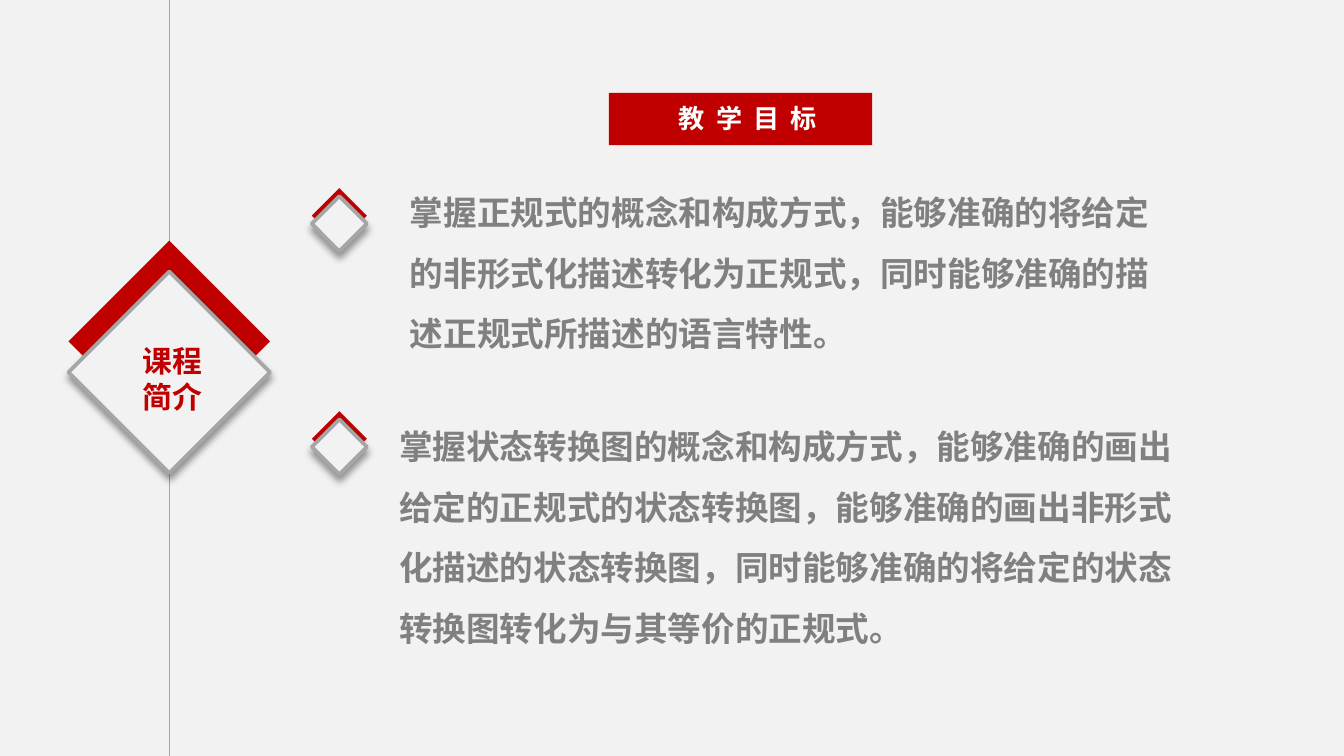
"""Build the course introduction slide on its teaching goals."""
import lxml.etree
import pptx
import pptx.dml.color
import pptx.enum.shapes
import pptx.enum.text
import pptx.oxml
import pptx.oxml.ns
import pptx.util

Inches = pptx.util.Inches
Pt = pptx.util.Pt
Shape = pptx.enum.shapes.MSO_SHAPE
Align = pptx.enum.text.PP_ALIGN
Anchor = pptx.enum.text.MSO_ANCHOR
qn = pptx.oxml.ns.qn
RED, GRAY, PALE = "C00000", "A6A6A6", "F2F2F2"
FONT = "Noto Sans CJK SC"
SHADOW = (
    '<a:effectLst xmlns:a="http://schemas.openxmlformats.org/drawingml/2006/main">'
    '<a:outerShdw blurRad="50800" dist="38100" dir="5400000" algn="t" rotWithShape="0">'
    '<a:srgbClr val="000000"><a:alpha val="40000"/></a:srgbClr>'
    "</a:outerShdw></a:effectLst>"
)


def paint(fmt, color):
    if hasattr(fmt, "solid"):
        fmt.solid()
        fmt = fmt.fore_color
    fmt.rgb = pptx.dml.color.RGBColor.from_string(color)


def write(box, text, size, color, align, gap=0):
    frame = box.text_frame
    frame.margin_left = frame.margin_right = Inches(0.07)
    frame.margin_top = frame.margin_bottom = Inches(0.04)
    frame.word_wrap = True
    frame.text = text
    for para in frame.paragraphs:
        para.alignment = align
        for run in para.runs:
            run.font.name = FONT
            run.font.size = Pt(size)
            run.font.bold = True
            paint(run.font.color, color)
            props = run.font._element
            east = lxml.etree.SubElement(props, qn("a:ea"))
            east.set("typeface", FONT)
            if gap:
                props.set("spc", str(gap * 100))
    return frame


deck = pptx.Presentation()
deck.slide_width = Inches(10)
deck.slide_height = Inches(10 * 9 / 16)
slide = deck.slides.add_slide(deck.slide_layouts[6])
paint(slide.background.fill, PALE)
shapes = slide.shapes

axis = shapes.add_connector(
    pptx.enum.shapes.MSO_CONNECTOR.STRAIGHT,
    Inches(1.26), 0, Inches(1.26), deck.slide_height,
)
paint(axis.line.fill, GRAY)
axis.line.width = Pt(0.75)
lxml.etree.SubElement(axis._element.spPr, qn("a:effectLst"))

for left, top, size, drop in [
    (0.51, 1.79, 1.5, 0.23),
    (2.32, 1.4, 0.41, 0.06),
    (2.32, 3.06, 0.41, 0.06),
]:
    for down, color in [(0, RED), (drop, PALE)]:
        gem = shapes.add_shape(
            Shape.FLOWCHART_DECISION,
            Inches(left), Inches(top + down), Inches(size), Inches(size),
        )
        paint(gem.fill, color)
        if down:
            paint(gem.line.fill, GRAY)
            gem.line.width = Pt(2)
            gem._element.spPr.append(pptx.oxml.parse_xml(SHADOW))
        else:
            gem.line.fill.background()
            gem.shadow.inherit = False

label = shapes.add_textbox(Inches(0.99), Inches(2.51), Inches(0.59), Inches(0.61))
write(label, "课程\n简介", 16, RED, Align.CENTER).word_wrap = False

for left, top, width, height, text in [
    (2.48, 1.24, 6.28, 1.41,
     "掌握正规式的概念和构成方式，能够准确的将给定的非形式化描述转化为正规式，"
     "同时能够准确的描述正规式所描述的语言特性。"),
    (2.4, 2.98, 6.45, 1.86,
     "掌握状态转换图的概念和构成方式，能够准确的画出给定的正规式的状态转换图，"
     "能够准确的画出非形式化描述的状态转换图，"
     "同时能够准确的将给定的状态转换图转化为与其等价的正规式。"),
]:
    goal = shapes.add_textbox(Inches(left), Inches(top), Inches(width), Inches(height))
    para = write(goal, text, 18, "808080", Align.LEFT).paragraphs[0]
    para.level = 1
    para.line_spacing = 1.5
    para._p.get_or_add_pPr().set("marL", str(Inches(0.5)))
    para._p.get_or_add_pPr().set("indent", "0")

bar = shapes.add_shape(
    Shape.RECTANGLE, Inches(4.53), Inches(0.69), Inches(1.96), Inches(0.39)
)
paint(bar.fill, RED)
bar.line.fill.background()
bar.shadow.inherit = False
title = shapes.add_textbox(Inches(4.65), Inches(0.69), Inches(1.83), Inches(0.38))
frame = write(title, "教学目标", 14, "FFFFFF", Align.CENTER, 6)
frame.vertical_anchor = Anchor.MIDDLE

deck.save("out.pptx")
